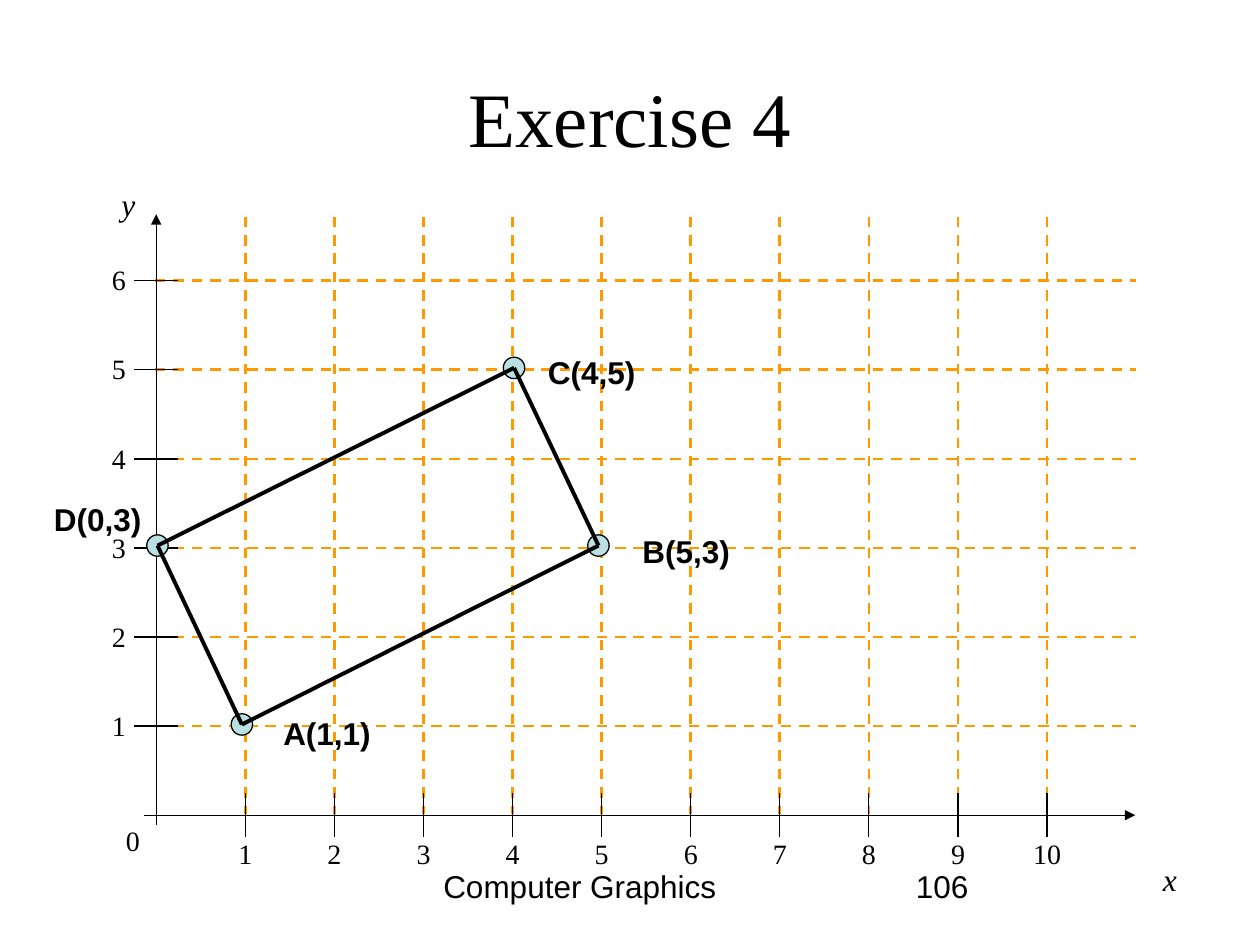
from lxml import etree
from pptx import Presentation
from pptx.dml.color import RGBColor
from pptx.enum.dml import MSO_LINE
from pptx.enum.shapes import MSO_CONNECTOR, MSO_SHAPE
from pptx.enum.text import MSO_ANCHOR, MSO_AUTO_SIZE, PP_ALIGN
from pptx.oxml.ns import qn
from pptx.util import Inches, Pt

BLACK, WHITE, ORANGE, PALE_BLUE = "000000", "FFFFFF", "FF9900", "BBE0E3"
SERIF, SANS = "Times New Roman", "Arial"
ORIGIN_X, ORIGIN_Y = 1.24, 6.47
UNIT = 0.707
TICK = 0.175
DOT = 0.17
VERTICES = [
    ("A(1,1)", (1.92, 5.75), (2.15, 5.62)),
    ("B(5,3)", (4.75, 4.33), (5, 4.17)),
    ("C(4,5)", (4.08, 2.92), (4.25, 2.75)),
    ("D(0,3)", (1.25, 4.33), (0.33, 3.92)),
]


def color(hex_value):
    """Turn a hex string into a colour."""
    return RGBColor.from_string(hex_value)


def add_text(slide, text, box, size, font=SERIF, align=PP_ALIGN.LEFT,
             anchor=MSO_ANCHOR.TOP, wrap=True, margins=True,
             bold=False, italic=False, fill=None):
    """Add a one-paragraph text box at (left, top, width, height)."""
    label = slide.shapes.add_textbox(*map(Inches, box))
    if fill:
        label.fill.solid()
        label.fill.fore_color.rgb = color(fill)
    frame = label.text_frame
    frame.word_wrap = wrap
    if not wrap:
        frame.auto_size = MSO_AUTO_SIZE.SHAPE_TO_FIT_TEXT
    frame.vertical_anchor = anchor
    if not margins:
        frame.margin_left = frame.margin_right = 0
        frame.margin_top = frame.margin_bottom = 0
    paragraph = frame.paragraphs[0]
    paragraph.text = text
    paragraph.alignment = align
    paragraph.font.name = font
    paragraph.font.size = Pt(size)
    paragraph.font.bold = bold
    paragraph.font.italic = italic
    paragraph.font.color.rgb = color(BLACK)


def add_line(slide, start, end, width=0.75, stroke=BLACK, dashed=False, arrow=False):
    """Draw a straight line, optionally dashed or with an arrowhead at its end."""
    line = slide.shapes.add_connector(
        MSO_CONNECTOR.STRAIGHT, *map(Inches, (*start, *end)))
    line.line.color.rgb = color(stroke)
    line.line.width = Pt(width)
    if dashed:
        line.line.dash_style = MSO_LINE.DASH
    if arrow:
        etree.SubElement(line.line._get_or_add_ln(), qn("a:tailEnd"), type="triangle")
    etree.SubElement(line._element.spPr, qn("a:effectLst"))


def add_dot(slide, center):
    """Draw a vertex marker around a centre point."""
    x, y = center
    dot = slide.shapes.add_shape(
        MSO_SHAPE.OVAL, *map(Inches, (x - DOT / 2, y - DOT / 2, DOT, DOT)))
    dot.shadow.inherit = False
    dot.fill.solid()
    dot.fill.fore_color.rgb = color(PALE_BLUE)
    dot.line.color.rgb = color(BLACK)
    dot.line.width = Pt(0.75)


def add_grid(slide, columns, rows):
    """Draw the dashed grid lines."""
    for x in columns:
        add_line(slide, (x, 1.72), (x, 6.46), 1.5, ORANGE, dashed=True)
    for y in rows:
        add_line(slide, (1.23, y), (9.02, y), 1.5, ORANGE, dashed=True)


def add_axes(slide, columns, rows):
    """Draw both axes with their names, ticks and numbers."""
    for name, box in (("x", (8.93, 6.78, 0.71, 0.4)), ("y", (0.75, 1.42, 0.54, 0.4))):
        add_text(slide, name, box, 18, align=PP_ALIGN.CENTER, italic=True, fill=WHITE)
    add_line(slide, (ORIGIN_X, 6.55), (ORIGIN_X, 1.7), arrow=True)
    add_line(slide, (1.14, ORIGIN_Y), (9.01, ORIGIN_Y), arrow=True)
    add_text(slide, "0", (0.9, 6.49, 0.31, 0.37), 16, wrap=False)
    for number, x in enumerate(columns, 1):
        add_line(slide, (x, ORIGIN_Y - TICK), (x, ORIGIN_Y + TICK))
        width = 0.12 * len(str(number))
        add_text(slide, str(number), (x - width / 2, 6.64, width, 0.27), 16,
                 align=PP_ALIGN.CENTER, anchor=MSO_ANCHOR.MIDDLE,
                 wrap=False, margins=False)
    for number, y in enumerate(rows, 1):
        add_line(slide, (ORIGIN_X - TICK, y), (ORIGIN_X + TICK, y))
        add_text(slide, str(number), (0.79, y - 0.19, 0.31, 0.37), 16, wrap=False)


def add_rectangle(slide):
    """Draw the labelled vertices and the sides that join them."""
    for name, center, (left, top) in VERTICES:
        add_dot(slide, center)
        add_text(slide, name, (left, top, 0.9, 0.4), 18, SANS, wrap=False, bold=True)
    centers = [center for _, center, _ in VERTICES]
    for start, end in zip(centers, centers[1:] + centers[:1]):
        add_line(slide, start, end, 2.25)


def main():
    """Build the slide and save it."""
    deck = Presentation()
    deck.slide_width, deck.slide_height = Inches(10), Inches(7.5)
    slide = deck.slides.add_slide(deck.slide_layouts[6])
    columns = [ORIGIN_X + UNIT * step for step in range(1, 11)]
    rows = [ORIGIN_Y - UNIT * step for step in range(1, 7)]

    add_text(slide, "Computer Graphics", (3.42, 6.83, 3.16, 0.51), 18, SANS)
    add_text(slide, "106", (7.17, 6.83, 2.33, 0.51), 18, SANS)
    add_text(slide, "Exercise 4", (0.5, 0.3, 9, 1.25), 44,
             align=PP_ALIGN.CENTER, anchor=MSO_ANCHOR.MIDDLE)
    add_grid(slide, columns, rows)
    add_axes(slide, columns, rows)
    add_rectangle(slide)
    deck.save("out.pptx")


if __name__ == "__main__":
    main()
